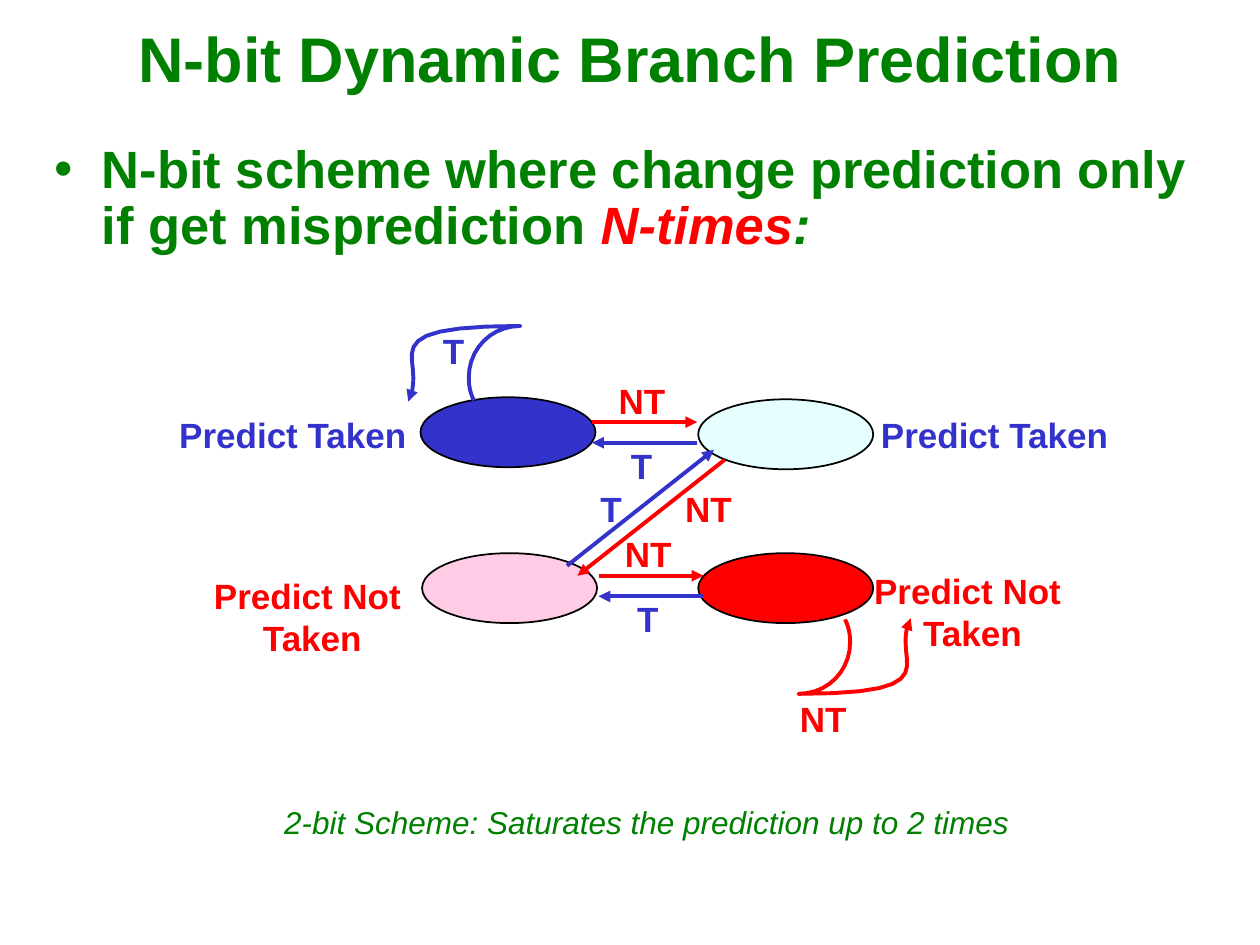
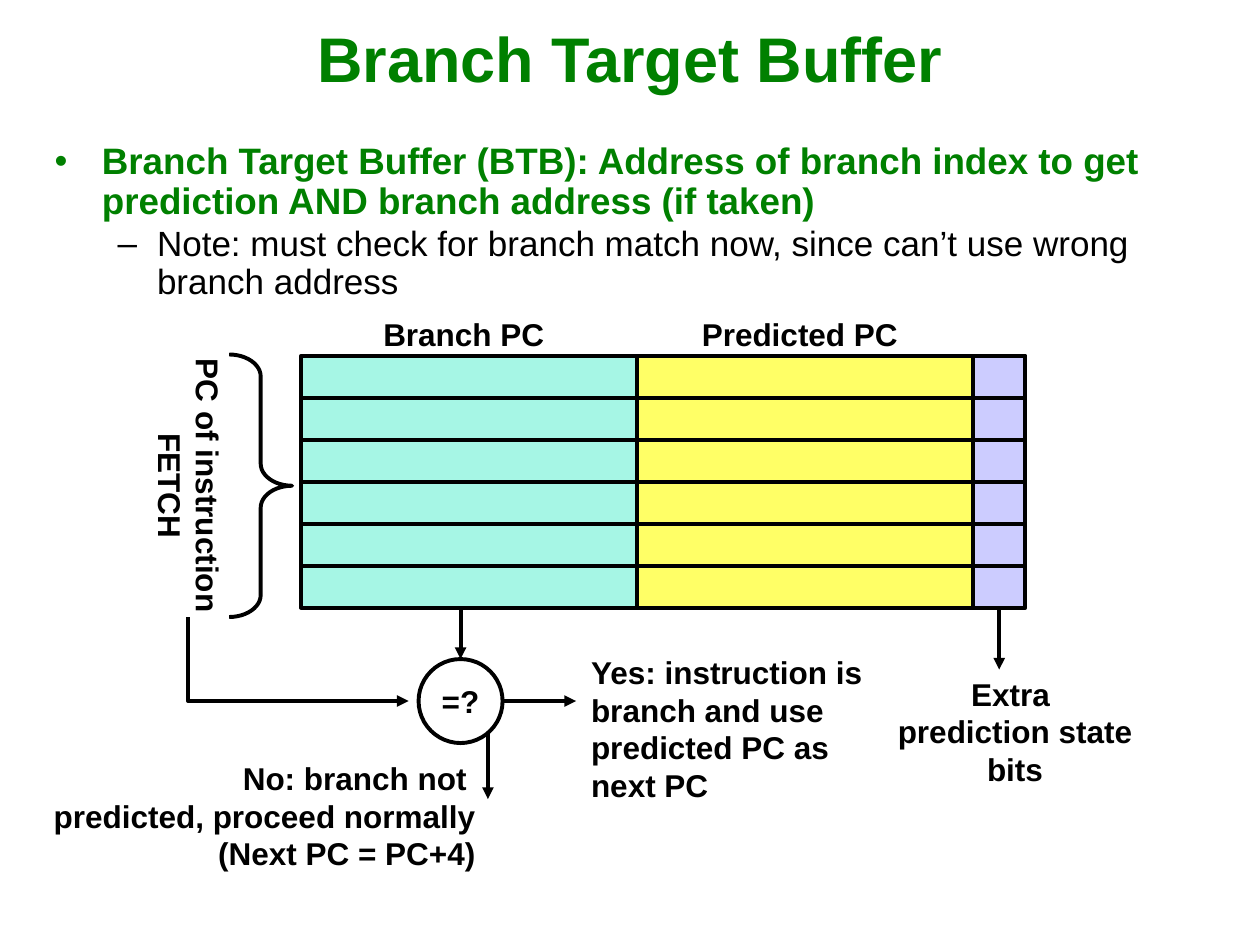
from lxml.etree import SubElement as Sub
from pptx import Presentation
from pptx.dml.color import RGBColor
from pptx.enum.shapes import MSO_CONNECTOR as LINK, MSO_SHAPE as SHAPE
from pptx.enum.text import MSO_ANCHOR as ANCHOR, MSO_AUTO_SIZE as FIT, PP_ALIGN as ALIGN
from pptx.oxml.ns import qn
from pptx.util import Pt

GREEN = RGBColor(0x00, 0x80, 0x00)
BLUE = RGBColor(0x33, 0x33, 0xCC)
RED = RGBColor(0xFF, 0x00, 0x00)
BLACK = RGBColor(0x00, 0x00, 0x00)
ICE = RGBColor(0xCC, 0xFF, 0xFF)
PINK = RGBColor(0xFF, 0x99, 0xCC)
MINT = RGBColor(0xA6, 0xF6, 0xE5)
YELLOW = RGBColor(0xFF, 0xFF, 0x66)
LILAC = RGBColor(0xCC, 0xCC, 0xFF)
FONT = "Arial"
THICK = 2.25
STEPS = 10
CURL = [(-26.6, 42.5), (-28.8, 38.2), (-29.5, 33.8), (-29.5, 29.5),
        (-29.5, 13), (-16.6, 0), (0, 0),
        (-74.2, 0), (-61.2, 13), (-61.2, 29.5),
        (-61.2, 34.6), (-61.9, 38.9), (-64.1, 43.2)]


def add_run(para, text, size=18, color=BLACK, bold=True, italic=False):
    run = para.add_run()
    run.text = text
    font = run.font
    font.name, font.size = FONT, Pt(size)
    font.bold, font.italic = bold, italic
    font.color.rgb = color


def write(frame, text, align=ALIGN.CENTER, anchor=ANCHOR.MIDDLE, wrap=False,
          fit=FIT.NONE, **style):
    frame.word_wrap, frame.auto_size = wrap, fit
    frame.vertical_anchor = anchor
    for i, line in enumerate(text.split("\n")):
        para = frame.paragraphs[0] if i == 0 else frame.add_paragraph()
        para.alignment = align
        add_run(para, line, **style)


def place(shape, x, y, w, h):
    shape.left, shape.top, shape.width, shape.height = Pt(x), Pt(y), Pt(w), Pt(h)


def label(slide, text, x, y, w, h, **style):
    box = slide.shapes.add_textbox(Pt(x), Pt(y), Pt(w), Pt(h))
    write(box.text_frame, text, fit=FIT.SHAPE_TO_FIT_TEXT, **style)
    return box


def stroke(shape, color, width=THICK, arrow=False):
    shape.line.color.rgb = color
    shape.line.width = Pt(width)
    if arrow:
        Sub(shape.element.spPr.find(qn("a:ln")), qn("a:tailEnd"), type="triangle")


def draw(slide, kind, x, y, w, h, fill=None, width=THICK, alpha=None):
    shape = slide.shapes.add_shape(kind, Pt(x), Pt(y), Pt(w), Pt(h))
    shape.shadow.inherit = False
    if fill is None:
        shape.fill.background()
    else:
        shape.fill.solid()
        shape.fill.fore_color.rgb = fill
    if alpha:
        tint = shape.element.spPr.find(qn("a:solidFill"))[0]
        Sub(tint, qn("a:alpha"), val=str(alpha * 1000))
    stroke(shape, BLACK, width)
    return shape


def arrow(slide, x1, y1, x2, y2, color=BLACK):
    link = slide.shapes.add_connector(LINK.STRAIGHT, Pt(x1), Pt(y1), Pt(x2), Pt(y2))
    stroke(link, color, arrow=True)
    Sub(link.element.spPr, qn("a:effectLst"))
    return link


def trace(slide, points, color):
    start, *rest = [(Pt(x), Pt(y)) for x, y in points]
    pen = slide.shapes.build_freeform(*start)
    pen.add_line_segments(rest, close=False)
    shape = pen.convert_to_shape()
    shape.shadow.inherit = False
    shape.fill.background()
    stroke(shape, color, arrow=True)


def curl(slide, x, y, turn, color):
    points = [CURL[0]]
    for i in range(0, len(CURL) - 1, 3):
        a, b, c, d = CURL[i:i + 4]
        for step in range(1, STEPS + 1):
            t = step / STEPS
            u = 1 - t
            points.append([u**3 * p + 3 * u * u * t * q + 3 * u * t * t * r + t**3 * s
                           for p, q, r, s in zip(a, b, c, d)])
    trace(slide, [(x + turn * px, y + turn * py) for px, py in points], color)


def start(deck, title, height):
    slide = deck.slides.add_slide(deck.slide_layouts[1])
    place(slide.shapes.title, 0, 0, 720, 66)
    write(slide.shapes.title.text_frame, title, wrap=True, size=36, color=GREEN)
    body = slide.placeholders[1]
    place(body, 24, 78, 666, height)
    body.text_frame.auto_size = FIT.NONE
    return slide, body.text_frame


def bullet(para, mark, color, left, hang, before, level=0):
    para.level = level
    para.line_spacing, para.space_before = 0.9, Pt(before)
    props = para._p.get_or_add_pPr()
    props.set("marL", str(Pt(left)))
    props.set("indent", str(-Pt(hang)))
    Sub(Sub(props, qn("a:buClr")), qn("a:srgbClr"), val=str(color))
    Sub(props, qn("a:buFont"), typeface=FONT)
    Sub(props, qn("a:buChar"), char=mark)


def states(slide, x, y):
    def tag(text, dx, dy, w, h, color, align=ALIGN.LEFT):
        label(slide, text, x + dx, y + dy, w, h, size=20, color=color,
              align=align, anchor=ANCHOR.TOP)

    def taken(dx, dy):
        tag("T", dx, dy, 27, 31, BLUE)

    def missed(dx, dy):
        tag("NT", dx, dy, 41, 31, RED)

    for dx in (0.3, 401.3):
        tag("Predict Taken", dx, 48, 145.4, 31, BLUE)
    for dx, dy in ((20, 139.7), (397.2, 136.8)):
        tag("Predict Not \nTaken", dx, dy, 127, 55, RED, ALIGN.CENTER)

    for dx, dy, fill, alpha in ((145.3, 42, BLUE, None), (304, 43.2, ICE, 50),
                                (146.2, 131.1, PINK, 50), (304, 131.1, RED, None)):
        draw(slide, SHAPE.OVAL, x + dx, y + dy, 100, 40, fill, 1, alpha)

    curl(slide, x + 202.4, y + 1.3, 1, BLUE)
    taken(151, 0)
    curl(slide, x + 361.3, y + 211.5, -1, RED)
    missed(355, 210)

    for dx, dy in ((243.4, 56.2), (247, 144)):
        near, far, high, low = x + dx, x + dx + 60, y + dy, y + dy + 11.8
        arrow(slide, near, high, far, high, RED)
        arrow(slide, far, low, near, low, BLUE)
        missed(dx + 8, dy - 28)
        taken(dx + 15, dy + 9)

    arrow(slide, x + 229, y + 138.3, x + 313, y + 72, BLUE)
    arrow(slide, x + 319, y + 77.8, x + 235, y + 144, RED)
    taken(241, 90)
    missed(289.5, 90)


def buffer(slide, x, y):
    label(slide, "Branch PC", x + 33, y, 120, 29)
    label(slide, "Predicted PC", x + 215, y, 140, 29)
    for row in range(6):
        left = x
        for width, fill in ((192, MINT), (192, YELLOW), (30, LILAC)):
            cell = draw(slide, SHAPE.RECTANGLE, left, y + 27 + 24 * row, width, 24, fill)
            left += width
    side = label(slide, "PC of instruction\nFETCH", x - 150.7, y + 76, 174, 50.4)
    side.rotation = 90
    brace = draw(slide, SHAPE.RIGHT_BRACE, x - 41, y + 26.3, 36, 150)
    brace.adjustments[0] = 0.35
    bits = arrow(slide, x + 399, y + 171, x + 399, y + 206.3)
    bits.begin_connect(cell, 2)
    label(slide, "Extra \nprediction state\nbits", x + 327, y + 205.6, 162, 72)


def check(slide, x, y):
    test = draw(slide, SHAPE.OVAL, x, y, 48, 48)
    write(test.text_frame, "=?")
    arrow(slide, x + 24, y - 29.6, x + 24, y).end_connect(test, 0)
    trace(slide, [(x - 131.7, y - 23.8), (x - 131.7, y + 24), (x - 5.7, y + 24)], BLACK)
    arrow(slide, x + 48, y + 24, x + 90, y + 24)
    label(slide, "Yes: instruction is branch and use predicted PC as next PC",
          x + 91.5, y - 7.2, 174, 93.6, align=ALIGN.LEFT, wrap=True)
    arrow(slide, x + 39.6, y + 42.4, x + 39.6, y + 80)
    label(slide, "No: branch not \npredicted, proceed normally\n (Next PC = PC+4)",
          x - 222, y + 53.4, 261.6, 72, align=ALIGN.RIGHT)


def scheme(deck):
    slide, body = start(deck, "N-bit Dynamic Branch Prediction", 402)
    para = body.paragraphs[0]
    bullet(para, "•", GREEN, 27, 27, 3.7)
    add_run(para, "N-bit scheme where change prediction only if get misprediction ",
            size=30, color=GREEN)
    add_run(para, "N-times", size=30, color=RED, italic=True)
    add_run(para, ":", size=30, color=GREEN, italic=True)
    states(slide, 95, 185)
    label(slide, "2-bit Scheme: Saturates the prediction up to 2 times",
          141, 455, 457, 29, color=GREEN, bold=False, italic=True)


def target(deck):
    slide, body = start(deck, "Branch Target Buffer", 104)
    para = body.paragraphs[0]
    bullet(para, "•", GREEN, 27, 27, 2.6)
    add_run(para, "Branch Target Buffer (BTB): Address of branch index to get "
            "prediction AND branch address (if taken)", size=21, color=GREEN)
    note = body.add_paragraph()
    bullet(note, "–", BLACK, 58.5, 22.5, 2.5, level=1)
    add_run(note, "Note: must check for branch match now, since can’t use wrong "
            "branch address", size=20, bold=False)
    buffer(slide, 172, 176.3)
    check(slide, 239.2, 376.6)


def main():
    deck = Presentation()
    deck.slide_width, deck.slide_height = Pt(720), Pt(540)
    scheme(deck)
    target(deck)
    deck.save("out.pptx")


if __name__ == "__main__":
    main()
